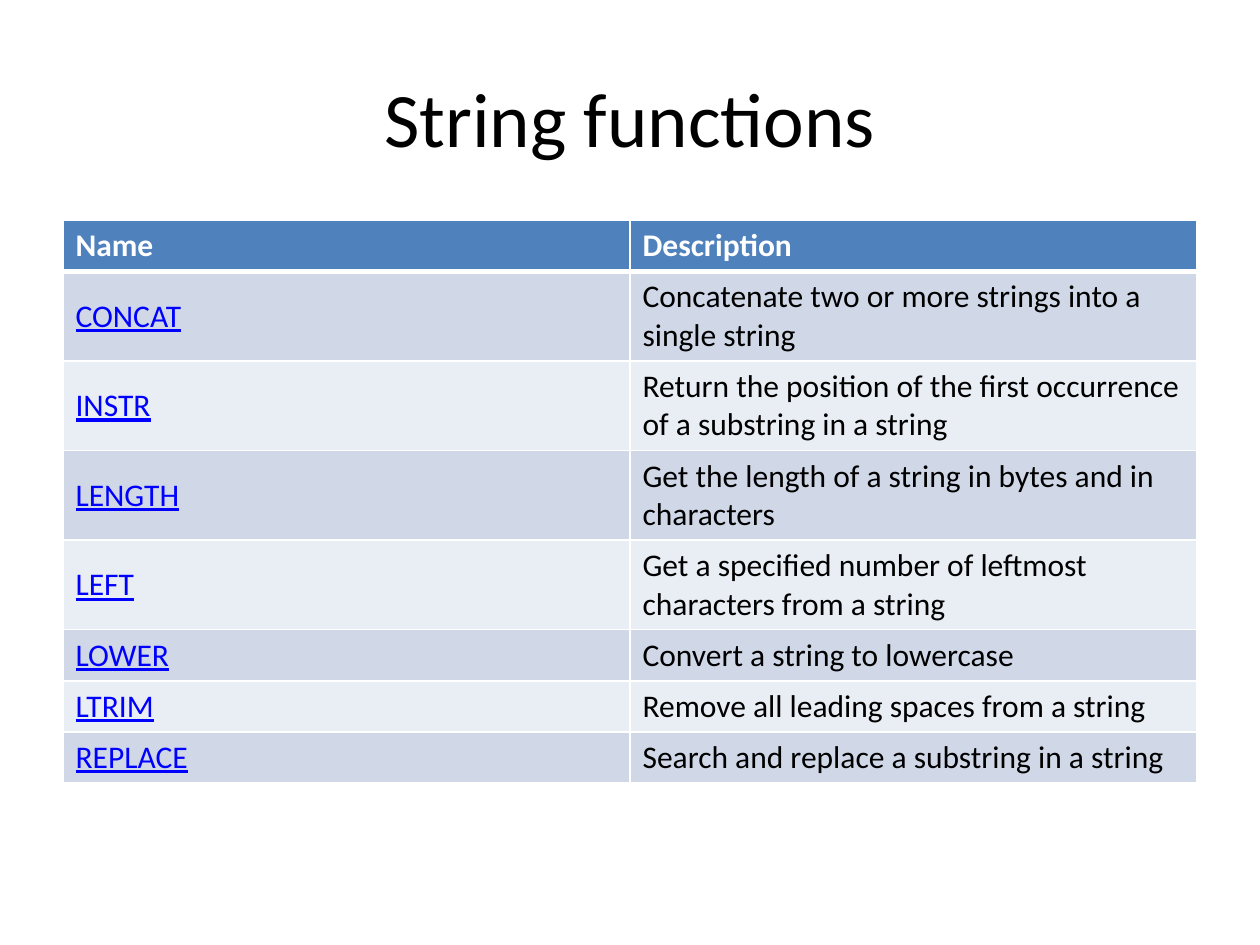
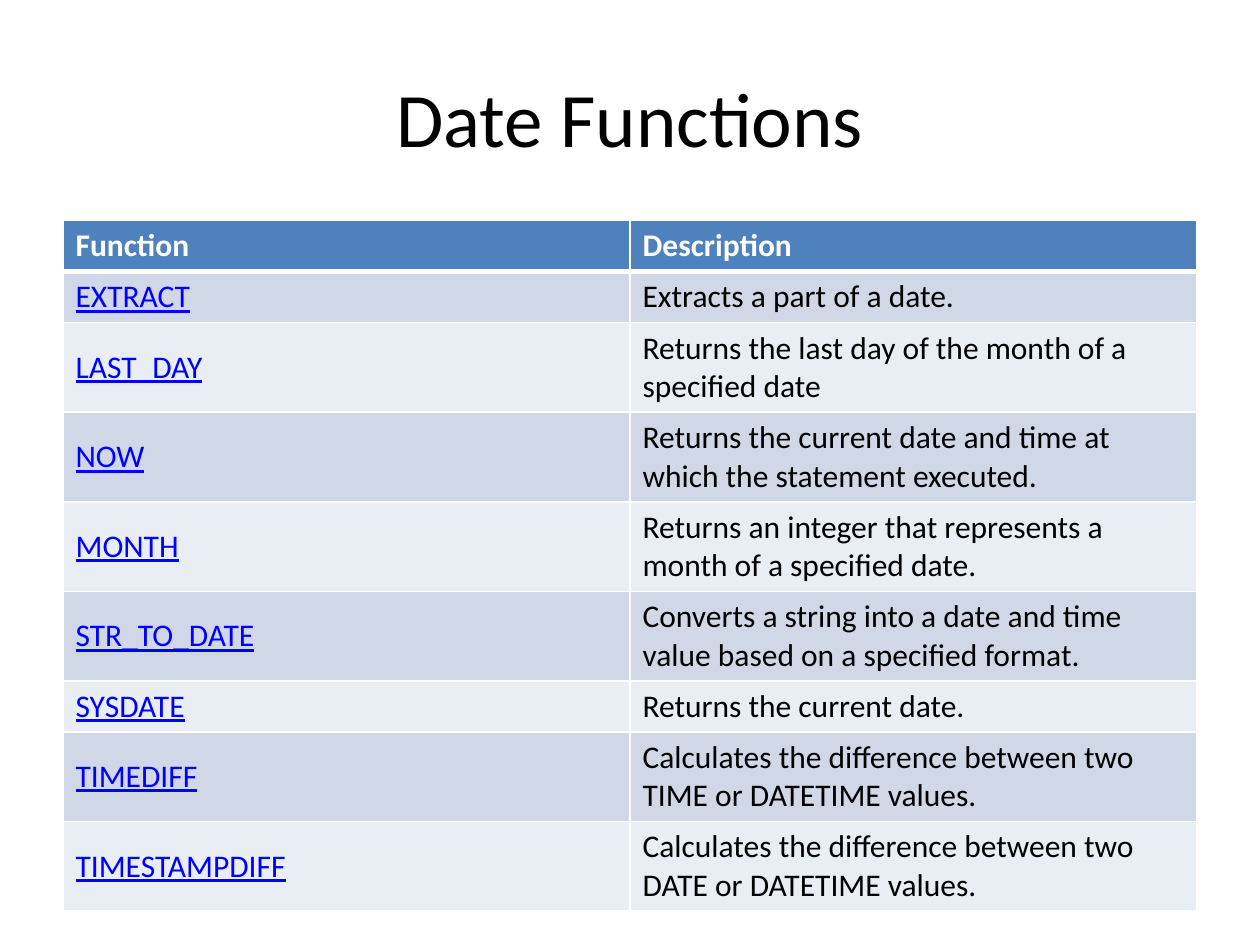
from pptx import Presentation
from pptx.dml.color import RGBColor
from pptx.enum.text import MSO_ANCHOR, PP_ALIGN
from pptx.oxml.ns import qn
from pptx.util import Pt
from lxml.etree import SubElement

FONT = "Calibri"
BLACK = RGBColor(0x00, 0x00, 0x00)
WHITE = RGBColor(0xFF, 0xFF, 0xFF)
HEADER = RGBColor(0x4F, 0x81, 0xBD)
BANDS = RGBColor(0xD0, 0xD8, 0xE8), RGBColor(0xE9, 0xED, 0xF4)
LINK = RGBColor(0x00, 0x00, 0xFF)

TITLE_BOX = Pt(36), Pt(21.6), Pt(648), Pt(90)
TABLE_BOX = Pt(36), Pt(126), Pt(648)
ROW_HEIGHT = Pt(29.2)

STRING_ROWS = [
    ("Name", "Description"),
    ("CONCAT", "Concatenate two or more strings into a single string"),
    ("INSTR", "Return the position of the first occurrence of a substring in a string"),
    ("LENGTH", "Get the length of a string in bytes and in characters"),
    ("LEFT", "Get a specified number of leftmost characters from a string"),
    ("LOWER", "Convert a string to lowercase"),
    ("LTRIM", "Remove all leading spaces from a string"),
    ("REPLACE", "Search and replace a substring in a string"),
]
DATE_ROWS = [
    ("Function", "Description"),
    ("EXTRACT", "Extracts a part of a date."),
    ("LAST_DAY", "Returns the last day of the month of a specified date"),
    ("NOW", "Returns the current date and time at which the statement executed."),
    ("MONTH", "Returns an integer that represents a month of a specified date."),
    ("STR_TO_DATE", "Converts a string into a date and time value based on a specified format."),
    ("SYSDATE", "Returns the current date."),
    ("TIMEDIFF", "Calculates the difference between two TIME or DATETIME values."),
    ("TIMESTAMPDIFF", "Calculates the difference between two DATE or DATETIME values."),
]


def style_run(r, size, color, bold=False, underline=False):
    """Set the font of a run."""
    r.font.name = FONT
    r.font.size = Pt(size)
    r.font.color.rgb = color
    r.font.bold = bold
    r.font.underline = underline


def add_title(slide, text, box):
    """Place the title placeholder in the box."""
    sp = slide.shapes.title
    sp.left, sp.top, sp.width, sp.height = box
    tf = sp.text_frame
    tf.text = text
    tf.vertical_anchor = MSO_ANCHOR.MIDDLE
    p = tf.paragraphs[0]
    p.alignment = PP_ALIGN.CENTER
    style_run(p.runs[0], 44, BLACK)


def add_border(cell, side, width):
    """Draw a white border on one side of a cell."""
    tc_pr = cell._tc.get_or_add_tcPr()
    ln = SubElement(tc_pr, qn("a:ln" + side), w=str(Pt(width)))
    fill = SubElement(ln, qn("a:solidFill"))
    SubElement(fill, qn("a:srgbClr"), val=str(WHITE))


def fill_cell(cell, text, row, col):
    """Write and format one cell by its row and column."""
    is_header = row == 0
    is_link = not is_header and col == 0
    for side in "LRTB":
        heavy = (row, side) in ((0, "B"), (1, "T"))
        add_border(cell, side, 3 if heavy else 1)
    cell.fill.solid()
    cell.fill.fore_color.rgb = HEADER if is_header else BANDS[(row - 1) % 2]
    cell.vertical_anchor = MSO_ANCHOR.MIDDLE
    cell.text_frame.text = text
    color = WHITE if is_header else LINK if is_link else BLACK
    style_run(cell.text_frame.paragraphs[0].runs[0], 18, color, is_header, is_link)


def add_function_table(slide, rows, box):
    """Place a two-column table of functions in the box."""
    left, top, width = box
    height = ROW_HEIGHT * len(rows)
    table = slide.shapes.add_table(len(rows), 2, left, top, width, height).table
    for i, row in enumerate(rows):
        for j, text in enumerate(row):
            fill_cell(table.cell(i, j), text, i, j)


def add_function_slide(prs, title, rows):
    """Add a slide with a title and its function table."""
    slide = prs.slides.add_slide(prs.slide_layouts[5])
    add_title(slide, title, TITLE_BOX)
    add_function_table(slide, rows, TABLE_BOX)


prs = Presentation()
prs.slide_width, prs.slide_height = Pt(720), Pt(540)
add_function_slide(prs, "String functions", STRING_ROWS)
add_function_slide(prs, "Date Functions", DATE_ROWS)
prs.save("out.pptx")
